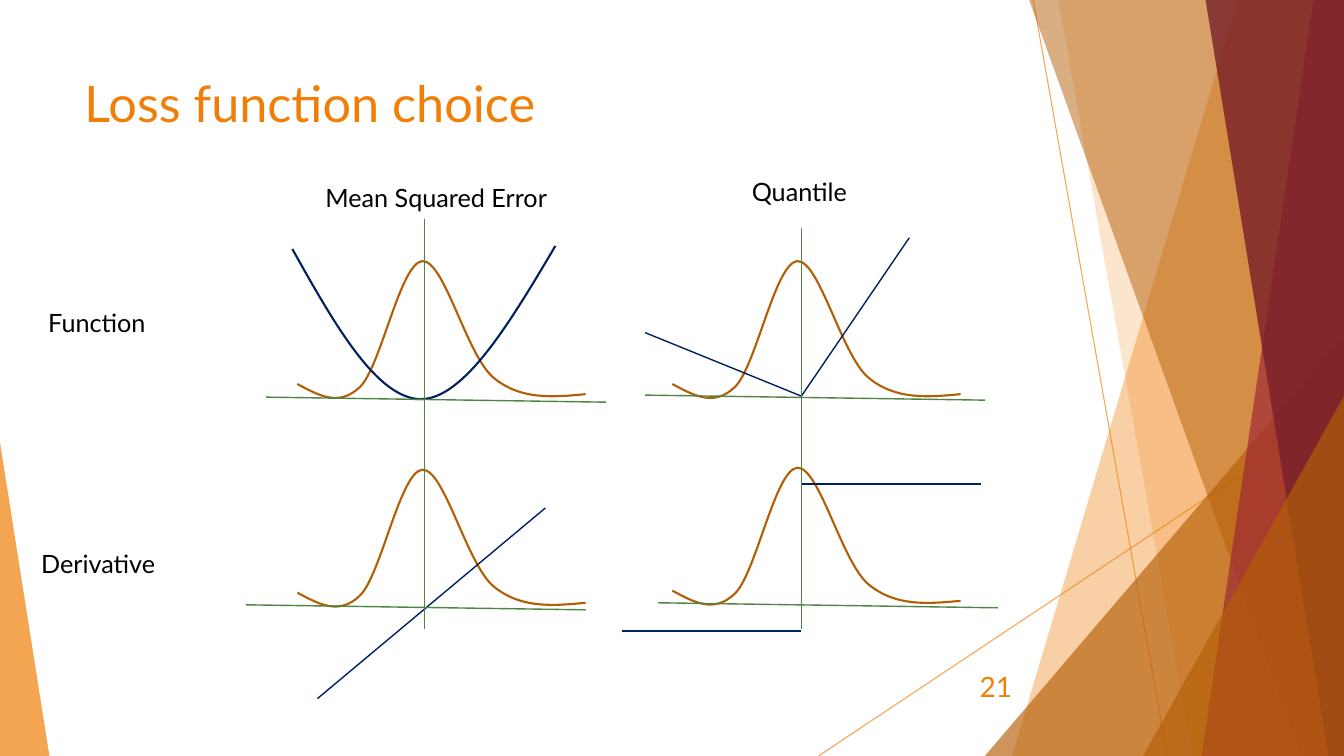
import pptx
import pptx.dml.color
import pptx.enum.shapes
import pptx.enum.text
import pptx.oxml.ns
import pptx.util
from lxml import etree

COLORS = {
    "orange": "F07F09",
    "brown": "B45F07",
    "red": "9F2936",
    "wine": "771F28",
    "bell": "B25E07",
    "loss": "002060",
    "axis": "4E8542",
    "text": "000000",
}
FONT = "Lato"
CELL = pptx.util.Inches(0.1)
COLUMNS, ROWS = 133.33, 75


class SlideGrid:
    """Draws on one slide; every length counts grid cells of a tenth of an inch."""

    def __init__(self, deck):
        self.slide = deck.slides.add_slide(deck.slide_layouts[6])
        self.shapes = self.slide.shapes

    def cells(self, *lengths):
        return [round(length * CELL) for length in lengths]

    def color(self, name):
        return pptx.dml.color.RGBColor.from_string(COLORS[name])

    def set_opacity(self, shape, percent):
        for color in shape._element.iter(pptx.oxml.ns.qn("a:srgbClr")):
            alpha = etree.SubElement(color, pptx.oxml.ns.qn("a:alpha"))
            alpha.set("val", str(percent * 1000))

    def paint(self, shape, color, opacity):
        shape.shadow.inherit = False
        shape.line.fill.background()
        shape.fill.solid()
        shape.fill.fore_color.rgb = self.color(color)
        self.set_opacity(shape, opacity)

    def polygon(self, points, color, opacity):
        corners = [self.cells(*point) for point in points]
        builder = self.shapes.build_freeform(*corners[0])
        builder.add_line_segments(corners[1:], close=True)
        self.paint(builder.convert_to_shape(), color, opacity)

    def triangle(self, box, apex, color, opacity):
        kind = pptx.enum.shapes.MSO_SHAPE.ISOSCELES_TRIANGLE
        shape = self.shapes.add_shape(kind, *self.cells(*box))
        shape.adjustments[0] = apex
        self.paint(shape, color, opacity)

    def line(self, start, end, color, width=1, opacity=None):
        kind = pptx.enum.shapes.MSO_CONNECTOR.STRAIGHT
        connector = self.shapes.add_connector(kind, *self.cells(*start, *end))
        connector.line.color.rgb = self.color(color)
        connector.line.width = pptx.util.Pt(width)
        etree.SubElement(connector._element.spPr, pptx.oxml.ns.qn("a:effectLst"))
        if opacity:
            self.set_opacity(connector, opacity)

    def curve(self, start, segments, color):
        """Draw Bezier segments whose points are offsets from start."""
        x, y = start
        arcs = [[self.cells(x + dx, y + dy) for dx, dy in arc] for arc in segments]
        builder = self.shapes.build_freeform(*self.cells(x, y))
        builder.add_line_segments([arc[-1] for arc in arcs], close=False)
        shape = builder.convert_to_shape()
        steps = list(shape._element.iter(pptx.oxml.ns.qn("a:lnTo")))
        for step, arc in zip(steps, arcs):
            bezier = etree.Element(pptx.oxml.ns.qn("a:cubicBezTo"))
            for px, py in arc:
                point = etree.SubElement(bezier, pptx.oxml.ns.qn("a:pt"))
                point.set("x", str(px - shape.left))
                point.set("y", str(py - shape.top))
            step.getparent().replace(step, bezier)
        shape.shadow.inherit = False
        shape.fill.background()
        shape.line.color.rgb = self.color(color)
        shape.line.width = pptx.util.Pt(1.5)

    def text(self, words, box, size, color, align="LEFT", anchor="TOP", wrap=True):
        frame = self.shapes.add_textbox(*self.cells(*box)).text_frame
        frame.word_wrap = wrap
        frame.vertical_anchor = pptx.enum.text.MSO_ANCHOR[anchor]
        paragraph = frame.paragraphs[0]
        paragraph.alignment = pptx.enum.text.PP_ALIGN[align]
        run = paragraph.add_run()
        run.text = words
        run.font.name = FONT
        run.font.size = pptx.util.Pt(size)
        run.font.color.rgb = self.color(color)


def draw_backdrop(grid):
    for start, end in [((102.5, 0), (115.8, ROWS)), ((COLUMNS, 40.3), (81.2, ROWS))]:
        grid.line(start, end, "orange", 0.75, 70)

    def band(top, bottom, color, opacity):
        right_edge = [(COLUMNS, 0), (COLUMNS, ROWS)]
        grid.polygon([(top, 0), *right_edge, (bottom, ROWS)], color, opacity)

    band(122.8, 100.4, "orange", 36)
    band(105, 118.3, "orange", 20)
    grid.triangle((97.7, 33.3, 35.63, 41.7), 1, "brown", 66)
    band(102.1, 129.1, "brown", 50)
    band(130.3, 119.2, "red", 70)
    band(119.6, 131.8, "wine", 80)
    grid.triangle((113.4, 39.3, 19.93, 35.7), 1, "brown", 66)
    grid.triangle((0, 43.9, 4.9, 31.1), 0, "orange", 70)


def draw_labels(grid):
    grid.text("Loss function choice", (7.4, 6.7, 94, 14.4), 36, "orange")
    grid.text("21", (93.9, 66.1, 7.5, 4), 20, "orange", "RIGHT", "MIDDLE")
    for words, left, top, width in [
        ("Mean Squared Error", 31.3, 17.6, 24.2),
        ("Quantile", 73.6, 17, 11.7),
        ("Function", 3.8, 30, 11.8),
        ("Derivative", 3.1, 53.9, 13.6),
    ]:
        grid.text(words, (left, top, width, 4), 18, "text", wrap=False)


def draw_plots(grid):
    bell = [
        [(2.1, 1.1), (4.1, 2.3), (6.2, 0.3)],
        [(8.3, -1.7), (10.2, -12), (12.4, -12.2)],
        [(14.6, -12.3), (16.8, -2.8), (19.5, -0.6)],
        [(22.2, 1.6), (25.4, 1.3), (28.6, 1)],
    ]
    parabola = [
        [(4.2, 7.5), (8.4, 14.9), (12.8, 14.9)],
        [(17.1, 14.8), (21.6, 7.3), (26.1, -0.3)],
    ]
    mse_center, quantile_center = 42.1, 79.5

    for bell_start in [(29.5, 38.1), (66.7, 38.1), (29.5, 58.8), (66.7, 58.6)]:
        grid.curve(bell_start, bell, "bell")

    grid.curve((29, 24.7), parabola, "loss")
    for start, end in [
        ((64, 33), (quantile_center, 39.3)),
        ((quantile_center, 39.3), (90.2, 23.6)),
        ((31.5, 69.3), (54.1, 50.4)),
        ((61.7, 62.6), (quantile_center, 62.6)),
        ((quantile_center, 48), (97.3, 48)),
    ]:
        grid.line(start, end, "loss")

    for center, top in [(mse_center, 21.7), (quantile_center, 22.6)]:
        for axis_top in (top, 41.6):
            grid.line((center, axis_top), (center, axis_top + 20.8), "axis")
    for left, level in [(26.4, 39.4), (64, 39.2), (24.4, 60), (65.3, 59.8)]:
        grid.line((left, level), (left + 33.7, level + 0.5), "axis")


def main():
    deck = pptx.Presentation()
    deck.slide_width = round(COLUMNS * CELL)
    deck.slide_height = ROWS * CELL
    grid = SlideGrid(deck)
    draw_backdrop(grid)
    draw_labels(grid)
    draw_plots(grid)
    deck.save("out.pptx")


if __name__ == "__main__":
    main()
